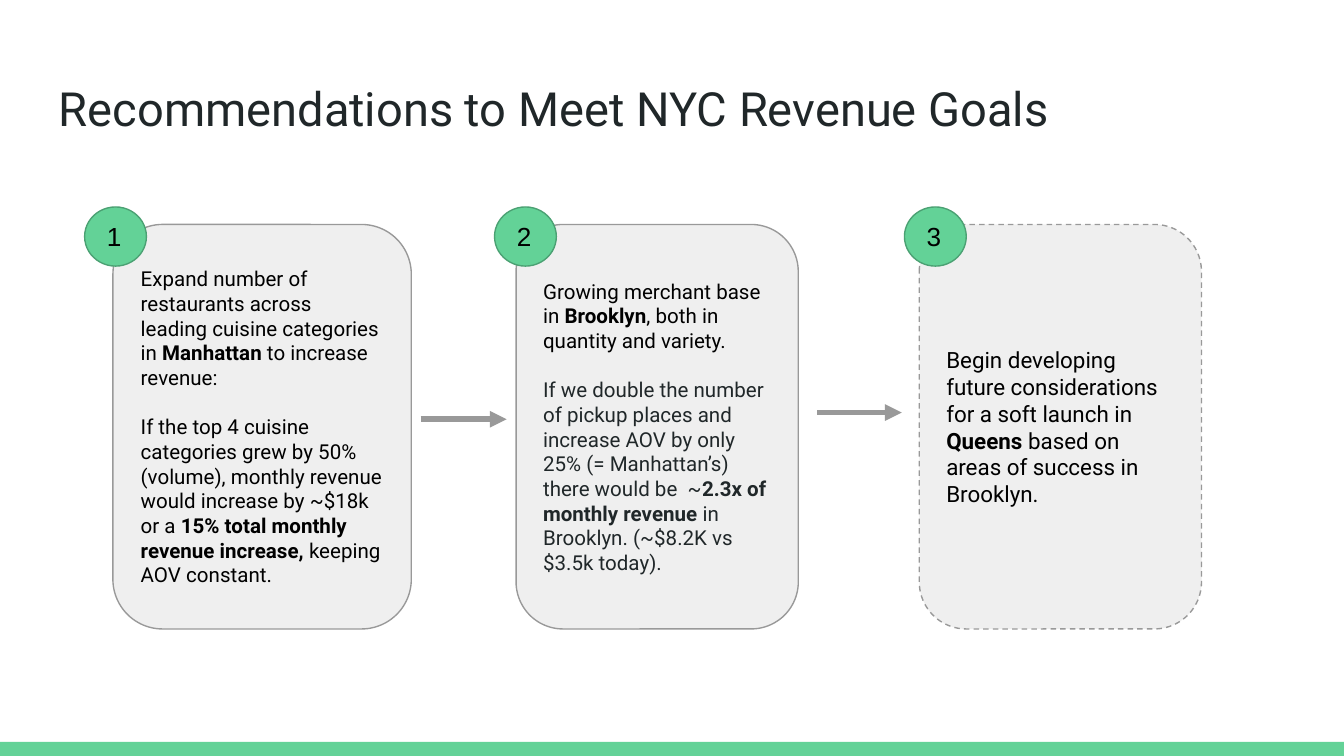
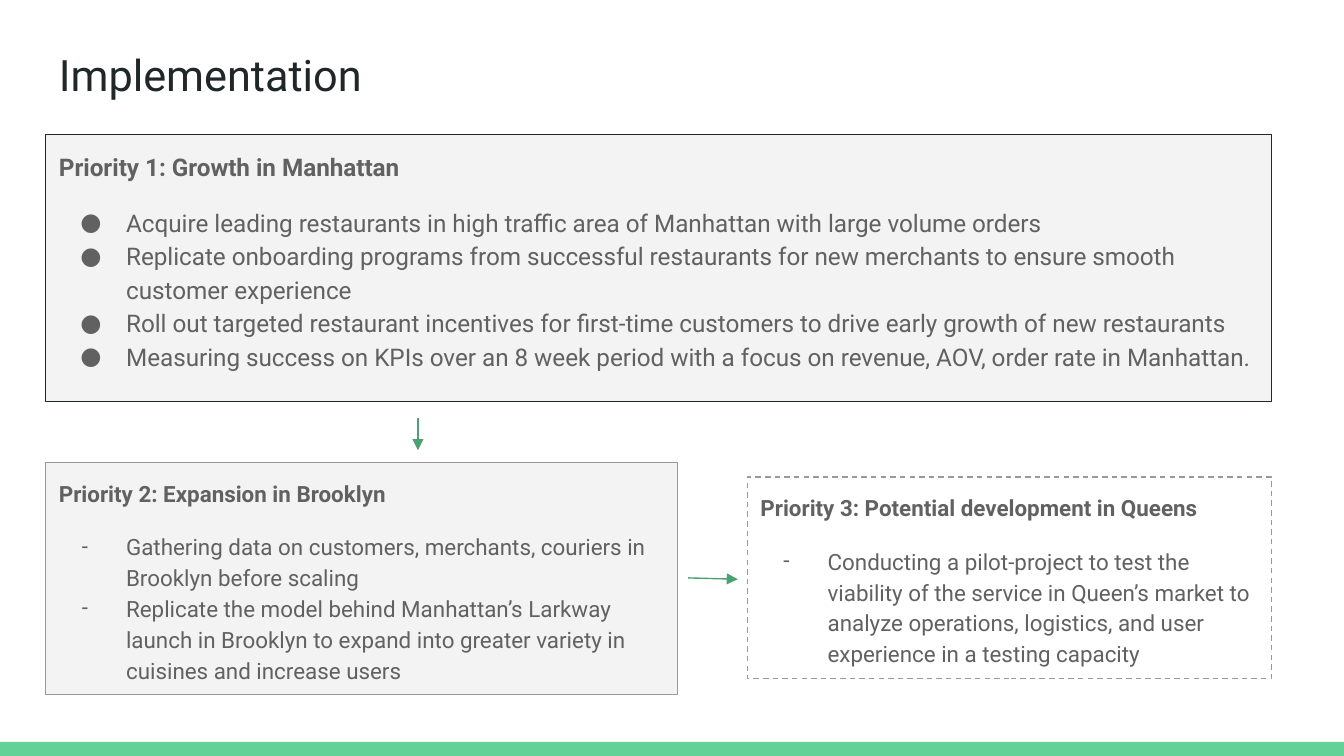
from dataclasses import dataclass

from lxml import etree
from pptx import Presentation
from pptx.dml.color import RGBColor
from pptx.enum.dml import MSO_LINE
from pptx.enum.shapes import MSO_CONNECTOR, MSO_SHAPE
from pptx.enum.text import MSO_ANCHOR, PP_ALIGN
from pptx.oxml.ns import qn
from pptx.util import Inches, Pt

RECTANGLE = MSO_SHAPE.RECTANGLE
ROUNDED = MSO_SHAPE.ROUNDED_RECTANGLE
OVAL = MSO_SHAPE.OVAL
STRAIGHT = MSO_CONNECTOR.STRAIGHT
DASH = MSO_LINE.DASH
TOP, MIDDLE = MSO_ANCHOR.TOP, MSO_ANCHOR.MIDDLE
LEFT = PP_ALIGN.LEFT

COLORS = {
    "green": "63D297",
    "dark green": "4BA173",
    "ink": "202729",
    "black": "000000",
    "text gray": "616161",
    "line gray": "999999",
    "card": "EFEFEF",
    "panel": "F3F3F3",
}
BOLD_MARK = "**"
PAGE_WIDTH = 10
FRAME_FORMAT = {
    "word_wrap": True,
    "margin_left": Inches(0.1),
    "margin_right": Inches(0.1),
    "margin_top": Inches(0.1),
    "margin_bottom": Inches(0.1),
}
CARD_TOP, CARD_HEIGHT = 1.67, 3.01
CARD_LEFT, CARD_PITCH = 0.84, 3
BADGE_LEFT, BADGE_PITCH = 0.63, 3.05


@dataclass
class Place:
    left: float
    top: float
    width: float
    height: float

    def lengths(self) -> list:
        return [Inches(v) for v in (self.left, self.top, self.width, self.height)]


@dataclass
class Line:
    """One paragraph; text between double stars is bold."""
    text: str
    size: float
    color: str = "black"
    font: str = "Roboto"
    spacing: float = 1.0
    before: float = 0
    bullet: str = ""
    hang: float = 0


@dataclass
class Card:
    width: float
    lines: list[Line]
    dashed: bool = False


@dataclass
class Panel:
    place: Place
    heading: str
    points: list[str]
    size: float
    bullet: str
    hang: float
    fill: str = "panel"
    outline: str = "line gray"
    dashed: bool = False


@dataclass
class Arrow:
    start: tuple[float, float]
    end: tuple[float, float]
    color: str
    weight: float


def rgb(name: str) -> RGBColor:
    return RGBColor.from_string(COLORS[name])


def apply(target, values: dict) -> None:
    for name, value in values.items():
        setattr(target, name, value)


def add_bullet(para, line: Line) -> None:
    properties = para._p.get_or_add_pPr()
    properties.set("marL", str(Inches(0.5)))
    properties.set("indent", str(-Inches(line.hang)))
    color = etree.SubElement(properties, qn("a:buClr"))
    etree.SubElement(color, qn("a:srgbClr"), val=COLORS[line.color])
    etree.SubElement(properties, qn("a:buFont"), typeface=line.font)
    etree.SubElement(properties, qn("a:buChar"), char=line.bullet)


def write(box, lines: list[Line], anchor=TOP) -> None:
    frame = box.text_frame
    apply(frame, FRAME_FORMAT | {"vertical_anchor": anchor})
    for index, line in enumerate(lines):
        para = frame.add_paragraph() if index else frame.paragraphs[0]
        apply(para, {"alignment": LEFT, "line_spacing": line.spacing,
                     "space_before": Pt(line.before)})
        if line.bullet:
            add_bullet(para, line)
        for part, text in enumerate(line.text.split(BOLD_MARK)):
            if not text:
                continue
            span = para.add_run()
            span.text = text
            apply(span.font, {"name": line.font, "size": Pt(line.size),
                              "bold": part % 2 == 1})
            span.font.color.rgb = rgb(line.color)


def add_box(page, kind, place: Place, fill: str = "", outline: str = "",
            dashed: bool = False):
    box = page.shapes.add_shape(kind, *place.lengths())
    box.shadow.inherit = False
    if fill:
        box.fill.solid()
        box.fill.fore_color.rgb = rgb(fill)
    else:
        box.fill.background()
    if outline:
        box.line.color.rgb = rgb(outline)
        box.line.width = Pt(0.75)
        if dashed:
            box.line.dash_style = DASH
    else:
        box.line.fill.background()
    return box


def add_arrow(page, arrow: Arrow) -> None:
    points = [Inches(v) for v in (*arrow.start, *arrow.end)]
    connector = page.shapes.add_connector(STRAIGHT, *points)
    connector.line.color.rgb = rgb(arrow.color)
    connector.line.width = Pt(arrow.weight)
    etree.SubElement(connector.line._get_or_add_ln(), qn("a:tailEnd"), type="triangle")
    etree.SubElement(connector._element.spPr, qn("a:effectLst"))


def add_page(deck, title: str, top: float, size: float):
    """Blank page with the shared footer band and title."""
    page = deck.slides.add_slide(deck.slide_layouts[6])
    add_box(page, RECTANGLE, Place(0, 5.52, PAGE_WIDTH, 0.11), "green")
    box = page.shapes.add_textbox(*Place(0.34, top, 9.32, 0.63).lengths())
    write(box, [Line(title, size, "ink")])
    return page


def add_card(page, index: int, card: Card) -> None:
    place = Place(CARD_LEFT + index * CARD_PITCH, CARD_TOP, card.width, CARD_HEIGHT)
    box = add_box(page, ROUNDED, place, "card", "line gray", card.dashed)
    write(box, card.lines, MIDDLE)
    place = Place(BADGE_LEFT + index * BADGE_PITCH, 1.54, 0.46, 0.44)
    badge = add_box(page, OVAL, place, "green", "dark green")
    write(badge, [Line(str(index + 1), 14, font="Arial")], MIDDLE)


def add_panel(page, panel: Panel) -> None:
    box = add_box(page, RECTANGLE, panel.place, panel.fill, panel.outline, panel.dashed)
    heading = Line(BOLD_MARK + panel.heading + BOLD_MARK, panel.size, "text gray",
                   spacing=1.15)
    points = [
        Line(text, panel.size, "text gray", spacing=1.15, before=0 if index else 12,
             bullet=panel.bullet, hang=panel.hang)
        for index, text in enumerate(panel.points)
    ]
    write(box, [heading, *points])


# Recommendations
CARDS = [
    Card(2.22, [
        Line("Expand number of restaurants across leading cuisine categories in "
             "**Manhattan** to increase revenue:", 11),
        Line("If the top 4 cuisine categories grew by 50% (volume), monthly revenue "
             "would increase by ~$18k or a **15% total monthly revenue increase, **"
             "keeping AOV constant.", 11, before=13.2),
    ]),
    Card(2.1, [
        Line("Growing merchant base in **Brooklyn**, both in quantity and variety.", 11),
        Line("If we double the number of pickup places and increase AOV by only 25% "
             "(= Manhattan’s) there would be  ~**2.3x of monthly revenue** in "
             "Brooklyn. (~$8.2K vs $3.5k today).", 11, "ink", before=13.2),
    ]),
    Card(2.1, [
        Line("Begin developing future considerations for a soft launch in "
             "**Queens** based on areas of success in Brooklyn.", 12),
    ], dashed=True),
]
CARD_ARROWS = [
    Arrow((3.13, 3.12), (3.77, 3.12), "line gray", 3),
    Arrow((6.08, 3.07), (6.71, 3.07), "line gray", 3),
]

# Implementation
PANELS = [
    Panel(Place(0.34, 1, 9.12, 1.99), "Priority 1: Growth in Manhattan", [
        "Acquire leading restaurants in high traffic area of Manhattan with large "
        "volume orders",
        "Replicate onboarding programs from successful restaurants for new merchants "
        "to ensure smooth customer experience",
        "Roll out targeted restaurant incentives for first-time customers to drive "
        "early growth of new restaurants",
        "Measuring success on KPIs over an 8 week period with a focus on revenue, "
        "AOV, order rate in Manhattan.",
    ], 13, "●", 0.34, outline="ink"),
    Panel(Place(5.56, 3.55, 3.9, 1.5), "Priority 3: Potential development in Queens", [
        "Conducting a pilot-project to test the viability of the service in Queen’s "
        "market to analyze operations, logistics, and user experience in a testing "
        "capacity",
    ], 12, "-", 0.33, fill="", dashed=True),
    Panel(Place(0.34, 3.44, 4.7, 1.73), "Priority 2: Expansion in Brooklyn", [
        "Gathering data on customers, merchants, couriers in Brooklyn before scaling",
        "Replicate the model behind Manhattan’s Larkway launch in Brooklyn to expand "
        "into greater variety in cuisines and increase users",
    ], 12, "-", 0.33),
]
PANEL_ARROWS = [
    Arrow((3.11, 3.11), (3.11, 3.35), "dark green", 0.75),
    Arrow((5.12, 4.3), (5.49, 4.31), "dark green", 0.75),
]


def main() -> None:
    deck = Presentation()
    deck.slide_width = Inches(PAGE_WIDTH)
    deck.slide_height = Inches(PAGE_WIDTH) * 9 // 16

    page = add_page(deck, "Recommendations to Meet NYC Revenue Goals", 0.49, 25.2)
    for index, card in enumerate(CARDS):
        add_card(page, index, card)
    for arrow in CARD_ARROWS:
        add_arrow(page, arrow)

    page = add_page(deck, "Implementation", 0.26, 23.2)
    for panel in PANELS:
        add_panel(page, panel)
    for arrow in PANEL_ARROWS:
        add_arrow(page, arrow)

    deck.save("out.pptx")


if __name__ == "__main__":
    main()
